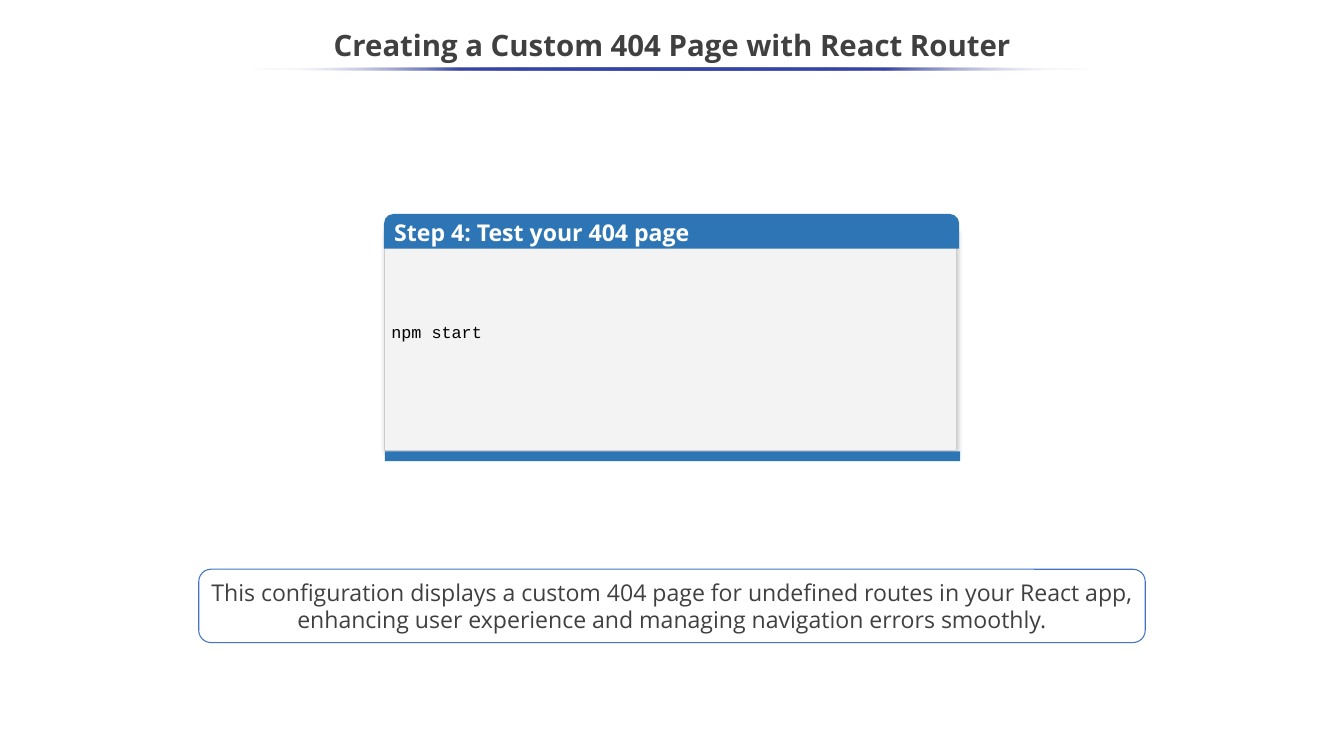
"""Builds the slide on testing a custom 404 page with React Router."""
import pptx
import pptx.util
import pptx.oxml
import pptx.oxml.ns
import pptx.dml.color
import pptx.enum.shapes
import pptx.enum.text

SHAPES = pptx.enum.shapes.MSO_SHAPE
ALIGN = pptx.enum.text.PP_ALIGN
COLORS = {
    "white": "FFFFFF", "text": "404040", "code": "000000", "panel": "F3F3F3",
    "panel_line": "CCCCCC", "blue": "2E75B5", "note_line": "4472C4", "rule": "3645A9",
}
NAMESPACE = pptx.oxml.ns.nsdecls("a")


def rgb(name):
    return pptx.dml.color.RGBColor.from_string(COLORS[name])


def write(shape, text, size, color="text", font="Open Sans", bold=False,
          align=ALIGN.LEFT, spacing=None, top=0.05, bottom=0.05):
    frame = shape.text_frame
    frame.word_wrap = True
    frame.auto_size = pptx.enum.text.MSO_AUTO_SIZE.NONE
    frame.vertical_anchor = pptx.enum.text.MSO_ANCHOR.MIDDLE
    frame.margin_left = frame.margin_right = pptx.util.Inches(0.1)
    frame.margin_top, frame.margin_bottom = pptx.util.Inches(top), pptx.util.Inches(bottom)
    paragraph = frame.paragraphs[0]
    paragraph.alignment = align
    paragraph.line_spacing = spacing
    run = paragraph.add_run()
    run.text = text
    run.font.size = pptx.util.Pt(size)
    run.font.name = font
    run.font.bold = bold
    run.font.color.rgb = rgb(color)


presentation = pptx.Presentation()
presentation.slide_width = pptx.util.Inches(17.78)
presentation.slide_height = pptx.util.Inches(10)
column = presentation.slide_width / 100
row = presentation.slide_height / 100
slide = presentation.slides.add_slide(presentation.slide_layouts[5])

title = slide.shapes.title
title.left, title.top = 0, int(2.5 * row)
title.width, title.height = presentation.slide_width, int(7.5 * row)
write(title, "Creating a Custom 404 Page with React Router", 28,
      bold=True, align=ALIGN.CENTER, spacing=0.9)

card = slide.shapes.add_group_shape()
layout = [
    ("panel", card, SHAPES.RECTANGLE, (28.57, 30.5, 42.58, 29.1), "panel", "panel_line", 0.75),
    ("header", card, SHAPES.ROUND_2_SAME_RECTANGLE, (28.57, 28.3, 42.8, 4.6), "blue", None, 0),
    ("footer", card, SHAPES.RECTANGLE, (28.63, 59.7, 42.8, 1.3), "blue", None, 0),
    ("note", slide, SHAPES.ROUNDED_RECTANGLE, (14.79, 75.3, 70.42, 9.7), "white", "note_line", 1),
    ("rule", slide, SHAPES.OVAL, (18.5, 8.9, 63.05, 0.4), "rule", None, 0),
]
parts = {}
for name, parent, kind, (left, top, width, height), fill, line, weight in layout:
    shape = parent.shapes.add_shape(
        kind, int(left * column), int(top * row), int(width * column), int(height * row))
    shape.shadow.inherit = False
    shape.fill.solid()
    shape.fill.fore_color.rgb = rgb(fill)
    if line:
        shape.line.color.rgb = rgb(line)
        shape.line.width = pptx.util.Pt(weight)
    else:
        shape.line.fill.background()
    parts[name] = shape

parts["header"].adjustments[0] = 0.275
write(parts["panel"], "npm start", 16, color="code", font="Courier New", top=0.1, bottom=0.34)
write(parts["header"], "Step 4: Test your 404 page", 22, color="white", bold=True)
write(parts["note"], "This configuration displays a custom 404 page for undefined routes in your "
      "React app, enhancing user experience and managing navigation errors smoothly.",
      22, align=ALIGN.CENTER)

effects = parts["panel"]._element.spPr.find(pptx.oxml.ns.qn("a:effectLst"))
effects.append(pptx.oxml.parse_xml(
    f'<a:outerShdw {NAMESPACE} blurRad="{pptx.util.Pt(4.5)}" dist="{pptx.util.Pt(1.5)}" '
    f'dir="{47 * 60000}" algn="tl" rotWithShape="0"><a:srgbClr val="{COLORS["code"]}">'
    '<a:alpha val="20000"/></a:srgbClr></a:outerShdw>'))

rule = parts["rule"]
rule.fill.gradient()
rule.fill.gradient_angle = 180
stops = rule._element.spPr.find(".//" + pptx.oxml.ns.qn("a:gsLst"))
stops.clear()
for share, color, alpha in [(0, "white", 0), (25, "rule", 100), (50, "rule", 100),
                            (75, "rule", 100), (100, "white", 0)]:
    stops.append(pptx.oxml.parse_xml(
        f'<a:gs {NAMESPACE} pos="{share * 1000}"><a:srgbClr val="{COLORS[color]}">'
        f'<a:alpha val="{alpha * 1000}"/></a:srgbClr></a:gs>'))

presentation.save("out.pptx")
